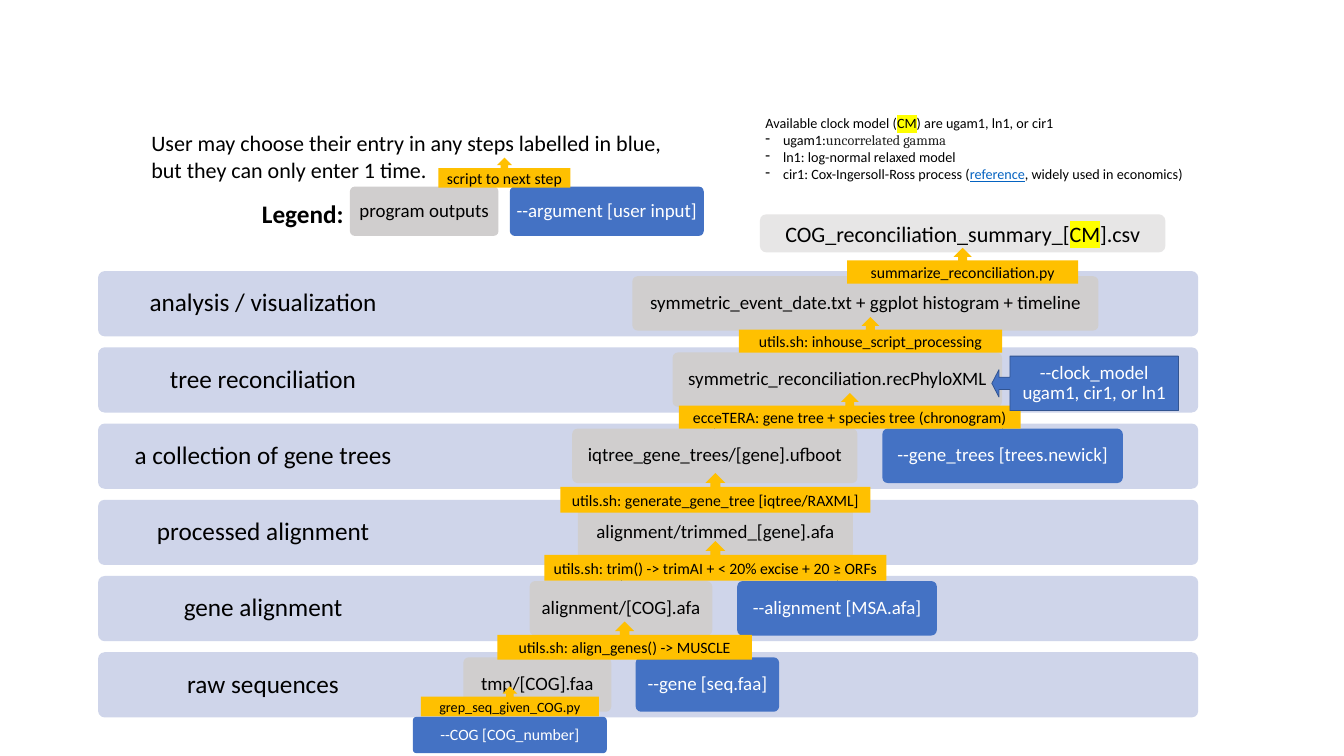
from lxml import etree
from pptx import Presentation
from pptx import util as u
from pptx.dml import color
from pptx.enum import shapes, text
from pptx.oxml import ns

GREY, BLUE, AMBER, BAND = "D0CECE", "4472C4", "FFC000", "CFD5EA"
BLACK, WHITE, YELLOW = "000000", "FFFFFF", "FFFF00"
KIND = shapes.MSO_SHAPE
CENTER = text.PP_ALIGN.CENTER
MIDDLE = text.MSO_ANCHOR.MIDDLE


def rgb(value):
    return color.RGBColor.from_string(value)


def highlight(span, value):
    mark = etree.Element(ns.qn("a:highlight"))
    etree.SubElement(mark, ns.qn("a:srgbClr"), val=value)
    span.font.fill._xPr.find(ns.qn("a:solidFill")).addnext(mark)


def style(span, size, ink=BLACK, bold=None, face="Calibri"):
    span.font.size, span.font.name, span.font.bold = u.Pt(size), face, bold
    span.font.color.rgb = rgb(ink)


def add_span(para, wording, size, ink=BLACK, face="Calibri"):
    span = para.add_run()
    span.text = wording
    style(span, size, ink, face=face)
    return span


def write(item, wording, size, ink=BLACK, inset=None, spacing=None,
          align=CENTER, anchor=MIDDLE, bold=None, wrap=True):
    frame = item.text_frame
    frame.text, frame.word_wrap, frame.vertical_anchor = wording, wrap, anchor
    if inset is not None:
        frame.margin_left = frame.margin_right = u.Inches(inset)
        frame.margin_top = frame.margin_bottom = u.Inches(inset)
    for para in frame.paragraphs:
        para.alignment, para.line_spacing = align, spacing
        for span in para.runs:
            style(span, size, ink, bold)


def add_block(page, kind, box, fill, adjust=(), line=None):
    block = page.shapes.add_shape(kind, *map(u.Inches, box))
    block.shadow.inherit = False
    block.fill.solid()
    block.fill.fore_color.rgb = rgb(fill)
    for index, value in enumerate(adjust):
        block.adjustments[index] = value
    if line:
        block.line.color.rgb, block.line.width = rgb(line), u.Pt(1)
    else:
        block.line.fill.background()
    return block


def add_label(page, box, wording, size, **options):
    label = page.shapes.add_textbox(*map(u.Inches, box))
    write(label, wording, size, **options)


def add_node(page, box, wording, fill, size=24, inset=0.1):
    node = add_block(page, KIND.ROUNDED_RECTANGLE, box, fill, [0.1])
    write(node, wording, size, WHITE if fill == BLUE else BLACK, inset, 0.9)


def add_script(page, box, wording, size=20):
    write(add_block(page, KIND.UP_ARROW_CALLOUT, box, AMBER), wording, size)


def add_link(page, parent, child):
    """Elbow from the bottom centre of one node to the top centre of another."""
    start = parent[0] + parent[2] / 2, parent[1] + parent[3]
    end = child[0] + child[2] / 2, child[1]
    bend = (start[1] + end[1]) / 2
    outline = page.shapes.build_freeform(*map(u.Inches, start))
    points = [(start[0], bend), (end[0], bend), end]
    outline.add_line_segments([tuple(map(u.Inches, point)) for point in points], close=False)
    link = outline.convert_to_shape()
    link.shadow.inherit = False
    link.fill.background()
    link.line.color.rgb, link.line.width = rgb("3E67B2"), u.Pt(1)


# Step name, output (left, width, wording), argument (left, width, wording)
STEPS = [
    ("analysis / visualization",
     (9.42, 8.22, "symmetric_event_date.txt + ggplot histogram + timeline"), None),
    ("tree reconciliation", (10.13, 5.81, "symmetric_reconciliation.recPhyloXML"), None),
    ("a collection of gene trees", (8.36, 5.03, "iqtree_gene_trees/[gene].ufboot"),
     (13.83, 4.24, "--gene_trees [trees.newick]")),
    ("processed alignment", (8.46, 4.85, "alignment/trimmed_[gene].afa"), None),
    ("gene alignment", (7.61, 3.22, "alignment/[COG].afa"),
     (11.27, 3.52, "--alignment [MSA.afa]")),
    ("raw sequences", (6.44, 2.61, "tmp/[COG].faa"),
     (9.48, 2.53, "--gene [seq.faa]")),
]
# Left, top, width, height, wording
SCRIPTS = [
    (7.04, 6.18, 4.49, 0.67, "utils.sh: align_genes() -> MUSCLE"),
    (7.87, 4.76, 6.03, 0.7, "utils.sh: trim() -> trimAI + < 20% excise + 20 ≥ ORFs"),
    (8.15, 3.56, 5.47, 0.7, "utils.sh: generate_gene_tree [iqtree/RAXML]"),
    (10.24, 2.15, 6.03, 0.63, "ecceTERA: gene tree + species tree (chronogram)"),
    (11.3, 0.81, 4.64, 0.63, "utils.sh: inhouse_script_processing"),
    (13.21, -0.41, 4.07, 0.63, "summarize_reconciliation.py"),
]


def draw_pipeline(page, left, top, width, height):
    band_height = 1.15
    pitch = (height - band_height) / (len(STEPS) - 1)
    # Step bands
    for row, (name, _, _) in enumerate(STEPS):
        y = top + row * pitch
        add_block(page, KIND.ROUNDED_RECTANGLE, (left, y, width, band_height), BAND, [0.1])
        add_label(page, (left, y, width * 0.3, band_height), name, 32, inset=0.25, spacing=0.9)
    # Outputs and arguments, each linked to the output above
    parent = None
    for row, (_, output, argument) in enumerate(STEPS):
        boxes = []
        for node, fill in ((output, GREY), (argument, BLUE)):
            if node:
                x, node_width, wording = node
                box = (left + x, top + row * pitch + 0.09, node_width, 0.96)
                if parent:
                    add_link(page, parent, box)
                add_node(page, box, wording, fill)
                boxes.append(box)
        parent = boxes[0]
    # Scripts between steps
    add_script(page, (left + 5.69, top + 7.32, 3.14, 0.53), "grep_seq_given_COG.py", 18)
    add_node(page, (left + 5.55, top + 7.86, 3.42, 0.64), "--COG [COG_number]", BLUE, 20, 0.08)
    for x, y, script_width, script_height, wording in SCRIPTS:
        add_script(page, (left + x, top + y, script_width, script_height), wording)
    # Clock model argument
    clock = add_block(page, KIND.LEFT_ARROW_CALLOUT, (left + 15.76, top + 1.5, 3.29, 0.96),
                      BLUE, [0.228, 0.25, 0.13, 0.903], "325491")
    write(clock, "--clock_model ugam1, cir1, or ln1", 24, WHITE, spacing=0.9)


def draw_legend(page, left, top, width, height):
    add_node(page, (left + 6.42, top + 1.05, 3.42, 0.87), "--argument [user input]", BLUE, inset=0.08)
    add_node(page, (left + 3.6, top + 1.05, 2.62, 0.87), "program outputs", GREY, inset=0.08)
    add_script(page, (left + 5.16, top + 0.54, 2.33, 0.53), "script to next step")
    plain = dict(align=None, anchor=text.MSO_ANCHOR.TOP)
    add_label(page, (left, top, width, 1.04),
              "User may choose their entry in any steps labelled in blue,\n"
              "but they can only enter 1 time.", 28, **plain)
    add_label(page, (left + 1.95, top + 1.2, 1.66, height - 1.2), "Legend:", 32,
              bold=True, wrap=False, **plain)


def draw_summary(page, left, top, width, height):
    block = add_block(page, KIND.ROUNDED_RECTANGLE, (left, top, width, height), "E7E6E6")
    block.text_frame.vertical_anchor = MIDDLE
    para = block.text_frame.paragraphs[0]
    para.alignment = CENTER
    add_span(para, "COG_reconciliation_summary_[", 28)
    highlight(add_span(para, "CM", 28), YELLOW)
    add_span(para, "].csv", 28)


def draw_clock_models(page, left, top, width, height):
    label = page.shapes.add_textbox(*map(u.Inches, (left, top, width, height)))
    frame = label.text_frame
    frame.word_wrap = False
    heading = frame.paragraphs[0]
    add_span(heading, "Available clock model (", 18)
    highlight(add_span(heading, "CM", 18), YELLOW)
    add_span(heading, ") are ugam1, ln1, or cir1", 18)
    gamma, normal, process = [frame.add_paragraph() for _ in range(3)]
    for para in (gamma, normal, process):
        props = para._p.get_or_add_pPr()
        props.set("marL", str(u.Inches(0.31)))
        props.set("indent", str(u.Inches(-0.31)))
        etree.SubElement(props, ns.qn("a:buChar"), char="-")
    add_span(gamma, "ugam1:", 18)
    add_span(gamma, "uncorrelated gamma", 18, "212121", "Cambria")
    add_span(normal, "ln1: log-normal relaxed model", 18)
    add_span(process, "cir1: Cox-Ingersoll-Ross process (", 18)
    add_span(process, "reference", 18, "0563C1").font.underline = True
    add_span(process, ", widely used in economics)", 18)


deck = Presentation()
deck.slide_width, deck.slide_height = u.Inches(23.7), u.Inches(13.33)
page = deck.slides.add_slide(deck.slide_layouts[6])
draw_summary(page, 13.4, 3.78, 7.15, 0.67)
draw_pipeline(page, 1.73, 4.78, 19.4, 7.87)
draw_legend(page, 2.57, 2.24, 9.4, 1.84)
draw_clock_models(page, 13.4, 1.97, 8, 1.31)
deck.save("out.pptx")
